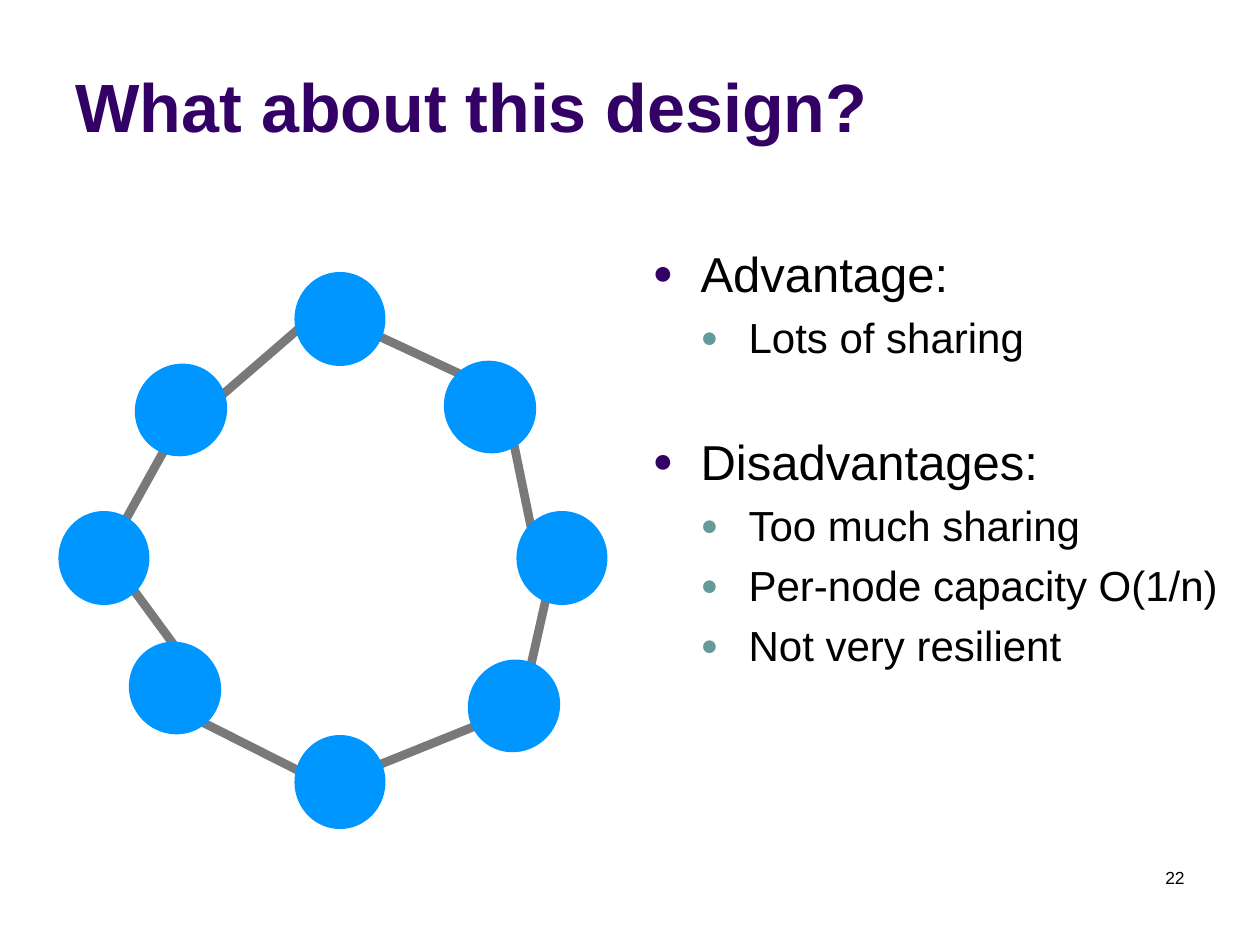
from lxml.etree import SubElement
from pptx import Presentation
from pptx.dml.color import RGBColor
from pptx.enum.shapes import MSO_CONNECTOR as Connector, MSO_SHAPE as Shape
from pptx.enum.text import MSO_ANCHOR as Anchor, MSO_AUTO_SIZE as AutoSize, PP_ALIGN as Align
from pptx.oxml.ns import qn
from pptx.util import Emu, Pt

PX = 914400 / 126
FONT = "Arial"
PURPLE = RGBColor(0x33, 0x00, 0x66)
TEAL = RGBColor(0x66, 0x99, 0x99)
BLACK = RGBColor(0x00, 0x00, 0x00)
GREY = RGBColor(0x79, 0x79, 0x79)
BLUE = RGBColor(0x00, 0x96, 0xFF)

NODE_WIDTH, NODE_HEIGHT = 91, 94
NODES = [
    (490, 407, 138.2), (175, 688, 138.2),
    (104, 558, 0), (562, 558, 0),
    (340, 319, 0), (340, 782, 0),
    (181, 410, 41.7), (514, 706, 41.7),
]
LINKS = [
    (188, 664, 105, 551), (310, 319, 221, 396),
    (488, 721, 344, 779), (504, 396, 538, 561),
    (344, 320, 488, 387), (186, 411, 105, 557),
    (315, 779, 200, 721), (524, 696, 552, 572),
]
POINTS = [
    (0, "Advantage:", 0),
    (1, "Lots of sharing", 5.5),
    (0, "Disadvantages:", 39.5),
    (1, "Too much sharing", 5.5),
    (1, "Per-node capacity O(1/n)", 5.5),
    (1, "Not very resilient", 5.5),
]
LEVEL_STYLES = [(28, PURPLE), (24, TEAL)]
INDENT = 48


def px(value):
    return Emu(round(value * PX))


def place(shape, left, top, width, height):
    shape.left, shape.top = px(left), px(top)
    shape.width, shape.height = px(width), px(height)


def add_run(paragraph, text, size, color, bold=False):
    run = paragraph.add_run()
    run.text = text
    run.font.name = FONT
    run.font.size = Pt(size)
    run.font.bold = bold
    run.font.color.rgb = color


def add_bullet(paragraph, level, color):
    properties = paragraph._p.get_or_add_pPr()
    properties.set("marL", str(px(INDENT * (level + 1))))
    properties.set("indent", str(px(-INDENT)))
    bullet_color = SubElement(properties, qn("a:buClr"))
    SubElement(bullet_color, qn("a:srgbClr"), val=str(color))
    SubElement(properties, qn("a:buSzPct"), val="70000")
    SubElement(properties, qn("a:buFont"), typeface=FONT)
    SubElement(properties, qn("a:buChar"), char="●")


def fill_title(slide):
    title = slide.shapes.title
    place(title, 63, 16, 1197, 136)
    frame = title.text_frame
    frame.auto_size = AutoSize.NONE
    frame.vertical_anchor = Anchor.BOTTOM
    paragraph = frame.paragraphs[0]
    paragraph.alignment = Align.LEFT
    add_run(paragraph, "What about this design?", 39, PURPLE, bold=True)


def fill_body(slide):
    body = slide.placeholders[1]
    place(body, 640, 237, 598, 610)
    frame = body.text_frame
    frame.auto_size = AutoSize.NONE
    for index, (level, text, space) in enumerate(POINTS):
        paragraph = frame.add_paragraph() if index else frame.paragraphs[0]
        size, bullet_color = LEVEL_STYLES[level]
        paragraph.level = level
        add_bullet(paragraph, level, bullet_color)
        paragraph.space_before = Pt(space)
        add_run(paragraph, text, size, BLACK)


def add_page_number(slide):
    box = slide.shapes.add_textbox(px(903), px(861), px(294), px(63))
    box.text_frame.word_wrap = True
    paragraph = box.text_frame.paragraphs[0]
    paragraph.alignment = Align.RIGHT
    add_run(paragraph, "22", 10, BLACK)


def add_link(shapes, start_x, start_y, end_x, end_y):
    link = shapes.add_connector(
        Connector.STRAIGHT, px(start_x), px(start_y), px(end_x), px(end_y))
    link.line.color.rgb = GREY
    link.line.width = Pt(5)
    SubElement(link._element.spPr, qn("a:effectLst"))


def add_node(shapes, center_x, center_y, rotation):
    node = shapes.add_shape(
        Shape.OVAL, px(center_x - NODE_WIDTH / 2), px(center_y - NODE_HEIGHT / 2),
        px(NODE_WIDTH), px(NODE_HEIGHT))
    node.rotation = rotation
    node.shadow.inherit = False
    node.fill.solid()
    node.fill.fore_color.rgb = BLUE
    node.line.fill.background()


def add_ring(slide):
    ring = slide.shapes.add_group_shape()
    for link in LINKS:
        add_link(ring.shapes, *link)
    for node in NODES:
        add_node(ring.shapes, *node)


def main():
    presentation = Presentation()
    presentation.slide_width, presentation.slide_height = px(1260), px(945)
    slide = presentation.slides.add_slide(presentation.slide_layouts[1])
    fill_title(slide)
    fill_body(slide)
    add_page_number(slide)
    add_ring(slide)
    presentation.save("out.pptx")


if __name__ == "__main__":
    main()
